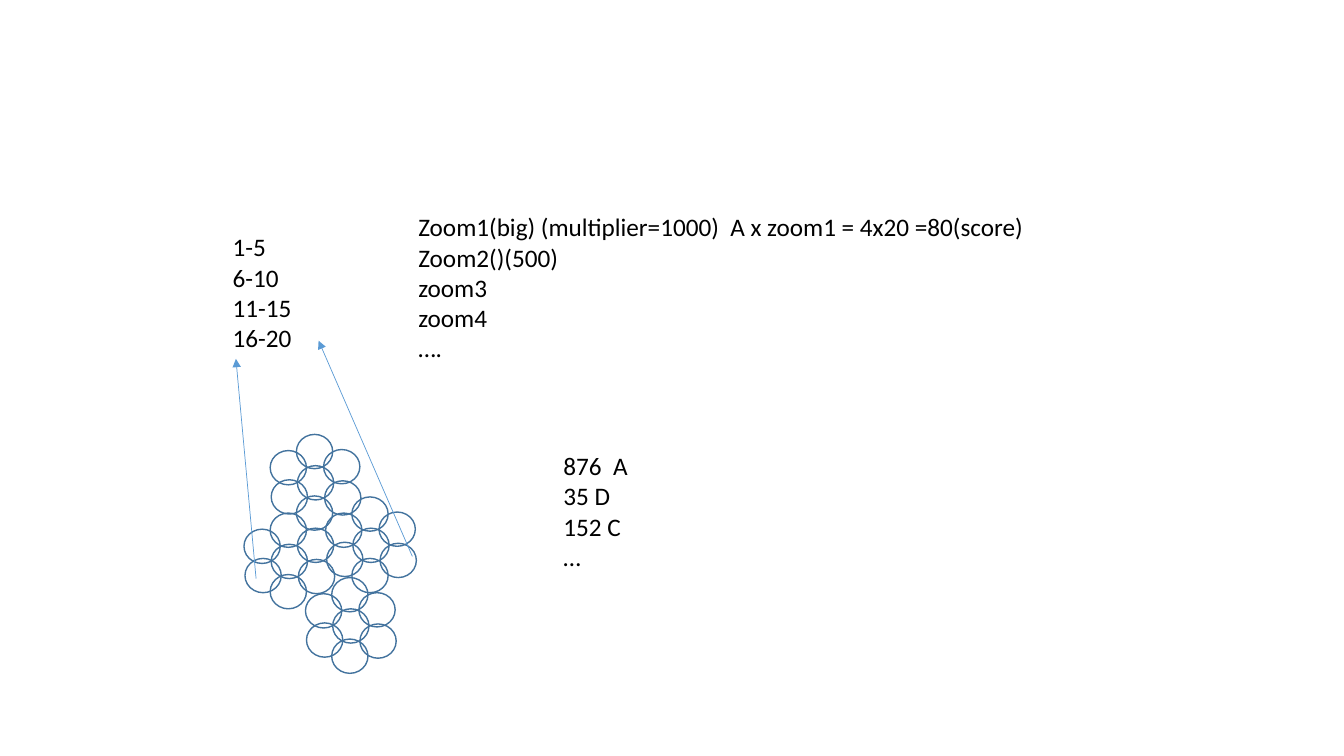
"""Build a slide of circle clusters with score ranges and zoom notes."""
import lxml.etree
import pptx
import pptx.dml.color
import pptx.enum.shapes
import pptx.oxml.ns
import pptx.util

PX = 9144
THEME = {
    "font": "Calibri",
    "text_size": pptx.util.Pt(18),
    "text": pptx.dml.color.RGBColor.from_string("000000"),
    "circle": pptx.dml.color.RGBColor.from_string("43739E"),
    "arrow": pptx.dml.color.RGBColor.from_string("5B9BD5"),
    "circle_width": pptx.util.Pt(1),
    "arrow_width": pptx.util.Pt(0.5),
}


def scaled(*lengths):
    """Turn px lengths into EMU."""
    return [length * PX for length in lengths]


deck = pptx.Presentation()
deck.slide_width, deck.slide_height = scaled(1333, 750)
page = deck.slides.add_slide(deck.slide_layouts[6])

CLUSTER_TOPS = [(294, 431), (268, 509), (349, 493), (329, 573)]
CIRCLE_OFFSETS = [(0, 0), (0, 61), (1, 31), (27, 15), (28, 46), (-26, 16), (-25, 45)]
for left, top in CLUSTER_TOPS:
    cluster = page.shapes.add_group_shape()
    for across, down in CIRCLE_OFFSETS:
        circle = cluster.shapes.add_shape(
            pptx.enum.shapes.MSO_SHAPE.OVAL, *scaled(left + across, top + down, 36, 34)
        )
        circle.shadow.inherit = False
        circle.fill.background()
        circle.line.color.rgb = THEME["circle"]
        circle.line.width = THEME["circle_width"]

ARROWS = [(254, 574, 234, 356), (409, 552, 316, 338)]
for ends in ARROWS:
    arrow = page.shapes.add_connector(
        pptx.enum.shapes.MSO_CONNECTOR.STRAIGHT, *scaled(*ends)
    )
    arrow.line.color.rgb = THEME["arrow"]
    arrow.line.width = THEME["arrow_width"]
    outline = arrow.element.spPr.find(pptx.oxml.ns.qn("a:ln"))
    lxml.etree.SubElement(outline, pptx.oxml.ns.qn("a:tailEnd"), type="triangle")
    lxml.etree.SubElement(arrow.element.spPr, pptx.oxml.ns.qn("a:effectLst"))

NOTES = [
    ((221, 225, 156, 131), "1-5\n6-10\n11-15\n16-20"),
    (
        (405, 205, 732, 192),
        "Zoom1(big) (multiplier=1000)  A x zoom1 = 4x20 =80(score)\n"
        "Zoom2()(500)\vzoom3\vzoom4\v….",
    ),
    ((549, 442, 183, 131), "876  A\n35 D\n152 C\n…"),
]
FONT_FORMAT = {"name": THEME["font"], "size": THEME["text_size"]}
for place, words in NOTES:
    box = page.shapes.add_textbox(*scaled(*place))
    box.text_frame.word_wrap = True
    box.text_frame.text = words
    for para in box.text_frame.paragraphs:
        for span in para.runs:
            span.font.color.rgb = THEME["text"]
            for name, value in FONT_FORMAT.items():
                setattr(span.font, name, value)

deck.save("out.pptx")
